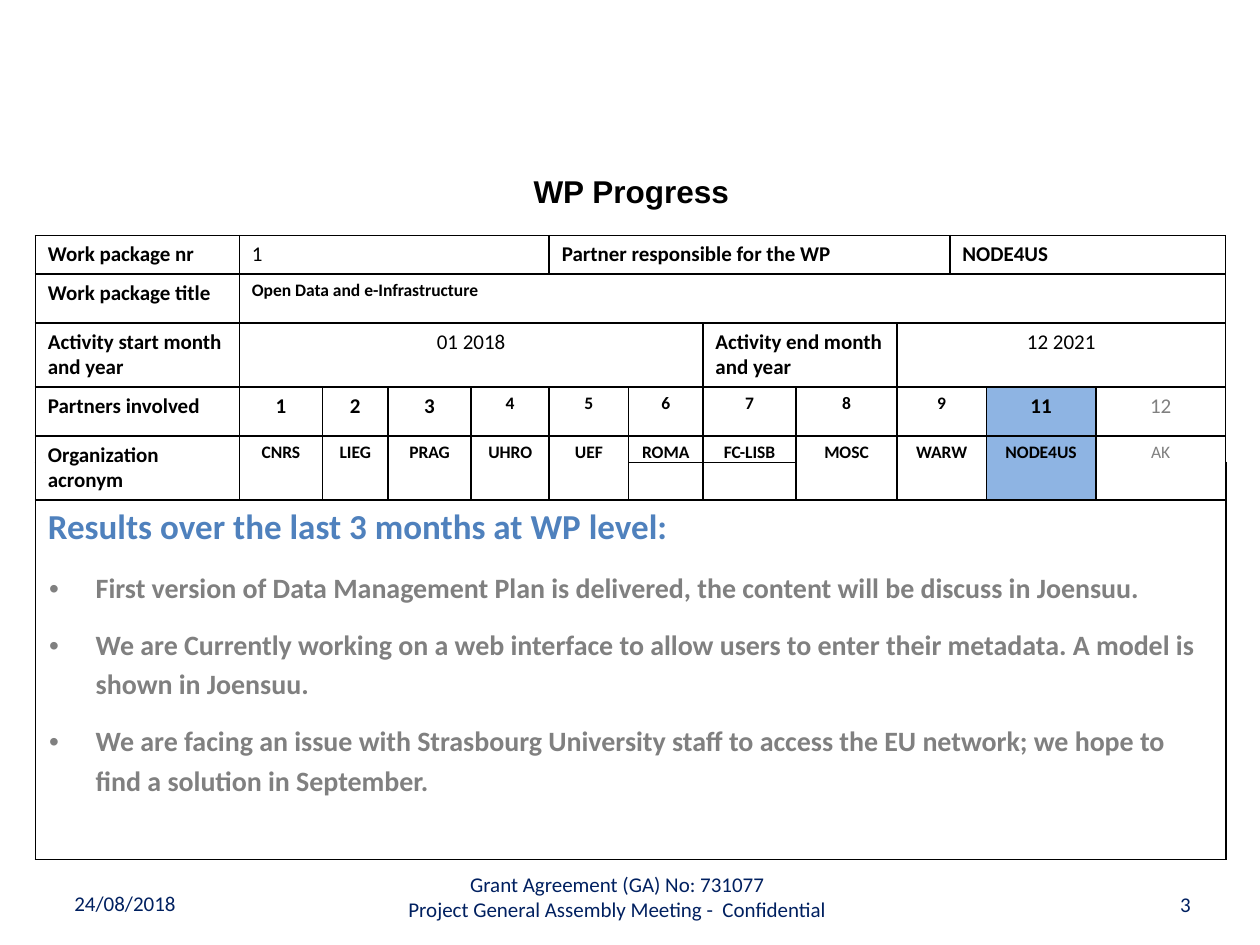
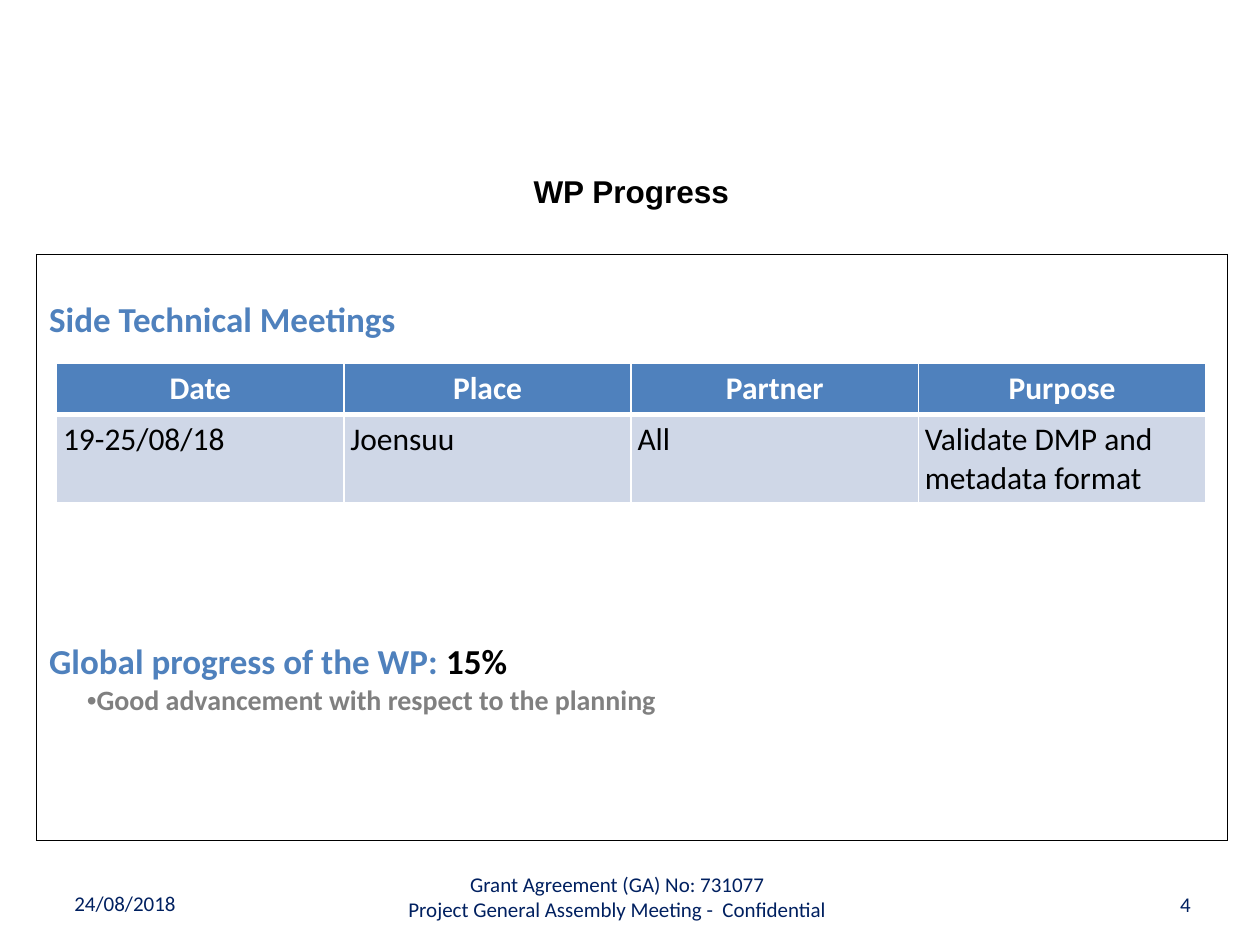
from lxml.etree import SubElement
from pptx import Presentation
from pptx.dml.color import RGBColor
from pptx.enum.text import MSO_ANCHOR, PP_ALIGN
from pptx.oxml import parse_xml
from pptx.oxml.ns import nsdecls, qn
from pptx.util import Inches, Pt

COLORS = {
    "black": "000000", "white": "FFFFFF", "navy": "002060", "blue": "4F81BD",
    "gray": "808080", "highlight": "8EB4E3", "pale": "CFD7E7",
}
LEFT, CENTER, RIGHT = PP_ALIGN.LEFT, PP_ALIGN.CENTER, PP_ALIGN.RIGHT
THIN, THICK = 0.96, 3

TITLE = "WP Progress"
DATE = "24/08/2018"
FOOTER = ["Grant Agreement (GA) No: 731077",
          "Project General Assembly Meeting -  Confidential"]

LEADER = "NODE4US"
PACKAGE_WIDTHS = [1.62, 0.66, 0.52, 0.66, 0.62, 0.63, 0.59,
                  0.74, 0.8, 0.42, 0.29, 0.87, 1.03]
PACKAGE_HEIGHTS = [0.3, 0.39, 0.5, 0.39, 0.5]
PLAIN = {"bold": False}
MONTH = {"bold": False, "align": CENTER}
SMALL = {"size": 10}
PACKAGE_ROWS = [
    [("Work package nr", 1, {}), ("1", 4, PLAIN),
     ("Partner responsible for the WP", 5, {}), (LEADER, 3, {})],
    [("Work package title", 1, {}), ("Open Data and e-Infrastructure", 12, SMALL)],
    [("Activity start month and year", 1, {}), ("01 2018", 6, MONTH),
     ("Activity end month and year", 2, {}), ("12 2021", 4, MONTH)],
]
PARTNERS = [
    ("1", "CNRS", 12), ("2", "LIEG", 12), ("3", "PRAG", 12), ("4", "UHRO", 10),
    ("5", "UEF", 10), ("6", "ROMA", 10), ("7", "FC-LISB", 10), ("8", "MOSC", 10),
    ("9", "WARW", 10), ("11", LEADER, 12), ("12", "AK", 12),
]
WIDE_PARTNER = "9"
UNFILLED_PARTNERS = {"6", "7"}
INACTIVE_PARTNER = "12"

RESULTS_HEADING = "Results over the last 3 months at WP level:"
RESULTS = [
    "First version of Data Management Plan is delivered, the content will be discuss in Joensuu.",
    "We are Currently working on a web interface to allow users to enter their metadata. "
    "A model is shown in Joensuu.",
    "We are facing an issue with Strasbourg University staff to access the EU network; "
    "we hope to find a solution in September.",
]

MEETINGS_HEADING = "Side Technical Meetings"
MEETINGS = [
    ["Date", "Place", "Partner", "Purpose"],
    ["19-25/08/18", "Joensuu", "All", "Validate DMP and metadata format"],
]
PROGRESS_HEADING, PROGRESS = "Global progress of the WP: ", "15%"
PROGRESS_NOTE = "Good advancement with respect to the planning"


def rgb(color):
    return RGBColor.from_string(COLORS[color])


def add_run(paragraph, text, size, color="black", bold=False, font="Calibri"):
    run = paragraph.add_run()
    run.text = text
    run.font.size = Pt(size)
    run.font.name = font
    run.font.bold = bold
    run.font.color.rgb = rgb(color)


def add_bullet(paragraph, left, hanging):
    properties = paragraph._p.get_or_add_pPr()
    properties.set("marL", str(Inches(left)))
    properties.set("indent", str(-Inches(hanging)))
    bullet_color = SubElement(properties, qn("a:buClr"))
    SubElement(bullet_color, qn("a:srgbClr")).set("val", COLORS["gray"])
    SubElement(properties, qn("a:buFont")).set("typeface", "Arial")
    SubElement(properties, qn("a:buChar")).set("char", "•")


def add_label(slide, box, lines, size=12, color="navy", align=LEFT,
              anchor=MSO_ANCHOR.MIDDLE, **style):
    frame = slide.shapes.add_textbox(*map(Inches, box)).text_frame
    frame.word_wrap = True
    frame.vertical_anchor = anchor
    frame.margin_left = frame.margin_right = Inches(0.05)
    frame.margin_top = frame.margin_bottom = Inches(0.05)
    for index, line in enumerate(lines):
        paragraph = frame.add_paragraph() if index else frame.paragraphs[0]
        paragraph.alignment = align
        add_run(paragraph, line, size, color, **style)


def set_borders(cell, color="black", **widths):
    properties = cell._tc.get_or_add_tcPr()
    for index, side in enumerate("LRTB"):
        width = Pt(widths.get(side, THIN))
        properties.insert(index, parse_xml(
            f'<a:ln{side} {nsdecls("a")} w="{width}"><a:solidFill>'
            f'<a:srgbClr val="{COLORS[color]}"/></a:solidFill></a:ln{side}>'))


def set_fill(cell, color):
    if color:
        cell.fill.solid()
        cell.fill.fore_color.rgb = rgb(color)
    else:
        cell.fill.background()


def add_grid(slide, left, top, widths, heights):
    box = map(Inches, (left, top, sum(widths), sum(heights)))
    grid = slide.shapes.add_table(len(heights), len(widths), *box).table
    grid.first_row = grid.horz_banding = False
    for column, width in zip(grid.columns, widths):
        column.width = Inches(width)
    for row, height in zip(grid.rows, heights):
        row.height = Inches(height)
    return grid


def add_panel(slide, left, top, height, heading):
    panel = add_grid(slide, left, top, [9.45], [height]).cell(0, 0)
    set_fill(panel, None)
    set_borders(panel)
    panel.margin_top = Inches(0.35)
    add_run(panel.text_frame.paragraphs[0], heading, 20, "blue", True)
    return panel.text_frame


def add_frame(slide, number):
    add_label(slide, (2.4, 6.87, 5, 0.5), FOOTER, align=CENTER, anchor=MSO_ANCHOR.TOP)
    add_label(slide, (1.94, 1.01, 6.14, 1.01), [TITLE], 18, "black", CENTER,
              bold=True, font="Arial")
    add_label(slide, (9.29, 7.03, 0.21, 0.29), [str(number)], align=RIGHT)
    add_label(slide, (0.54, 7.02, 2.33, 0.3), [DATE])


def partner_rows():
    numbers = [("Partners involved", 1, {})]
    acronyms = [("Organization acronym", 1, {})]
    for number, acronym, size in PARTNERS:
        span = 2 if number == WIDE_PARTNER else 1
        style = {"align": CENTER, "fill": "white"}
        if number in UNFILLED_PARTNERS:
            style["fill"] = None
        elif acronym == LEADER:
            style["fill"] = "highlight"
        elif number == INACTIVE_PARTNER:
            style.update(color="gray", bold=False)
        numbers.append((number, span, {**style, "size": size}))
        acronyms.append((acronym, span, {**style, "size": 10}))
    return [numbers, acronyms]


def add_package(slide):
    package = add_grid(slide, 0.28, 1.87, PACKAGE_WIDTHS, PACKAGE_HEIGHTS)
    for row, entries in enumerate(PACKAGE_ROWS + partner_rows()):
        column = 0
        for text, span, style in entries:
            for covered in range(column, column + span):
                set_fill(package.cell(row, covered), style.get("fill", "white"))
                set_borders(package.cell(row, covered))
            cell = package.cell(row, column)
            if span > 1:
                cell.merge(package.cell(row, column + span - 1))
            paragraph = cell.text_frame.paragraphs[0]
            paragraph.alignment = style.get("align", LEFT)
            add_run(paragraph, text, style.get("size", 12),
                    style.get("color", "black"), style.get("bold", True))
            column += span


def add_meetings(slide):
    meetings = add_grid(slide, 0.45, 2.88, [2.28] * 4, [0.41, 0.69])
    for row, entries in enumerate(MEETINGS):
        header = row == 0
        for column, text in enumerate(entries):
            cell = meetings.cell(row, column)
            cell.margin_left = cell.margin_right = Inches(0.05)
            cell.margin_top = cell.margin_bottom = Inches(0.05)
            set_fill(cell, "blue" if header else "pale")
            set_borders(cell, "white", **({"B": THICK} if header else {"T": THICK}))
            paragraph = cell.text_frame.paragraphs[0]
            paragraph.alignment = CENTER if header else LEFT
            add_run(paragraph, text, 18, "white" if header else "black", header)


def build_results(slide):
    results = add_panel(slide, 0.28, 3.67, 3.15, RESULTS_HEADING)
    for result in RESULTS:
        paragraph = results.add_paragraph()
        paragraph.line_spacing = 1.15
        paragraph.space_before = Pt(10)
        add_bullet(paragraph, 0.38, 0.37)
        add_run(paragraph, result, 16, "gray", True)
    add_package(slide)


def build_progress(slide):
    progress = add_panel(slide, 0.29, 2.02, 4.65, MEETINGS_HEADING)
    overall = progress.add_paragraph()
    overall.space_before = Pt(171)
    add_run(overall, PROGRESS_HEADING, 20, "blue", True)
    add_run(overall, PROGRESS, 20, "black", True)
    note = progress.add_paragraph()
    add_bullet(note, 0.31, 0.01)
    add_run(note, PROGRESS_NOTE, 16, "gray", True)
    add_meetings(slide)


def main():
    deck = Presentation()
    deck.slide_width, deck.slide_height = Inches(10), Inches(7.5)
    for number, build in enumerate([build_results, build_progress], start=3):
        slide = deck.slides.add_slide(deck.slide_layouts[6])
        build(slide)
        add_frame(slide, number)
    deck.save("out.pptx")


if __name__ == "__main__":
    main()
